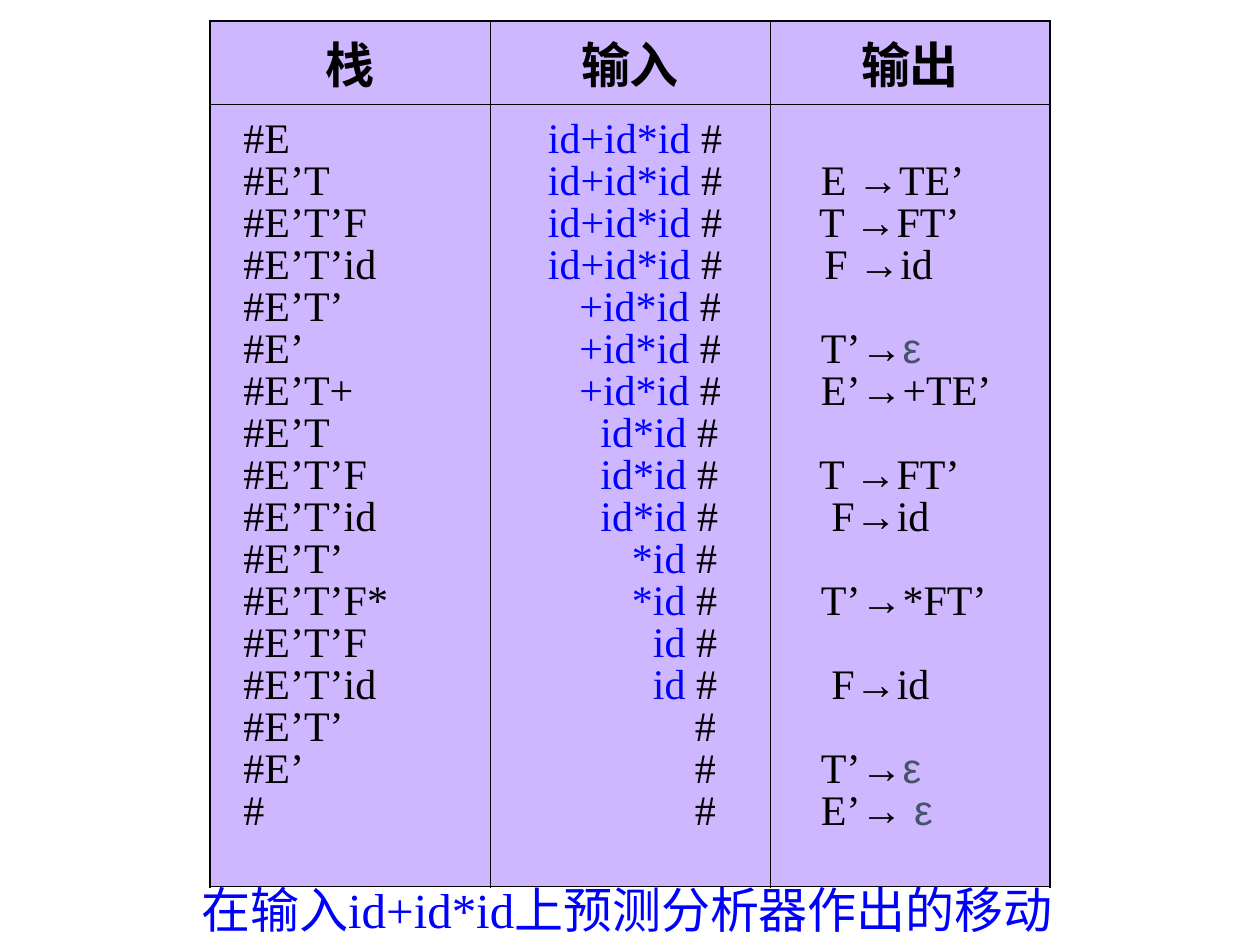
from lxml.etree import fromstring
from pptx import Presentation
from pptx.dml.color import RGBColor
from pptx.enum.text import MSO_AUTO_SIZE, PP_ALIGN
from pptx.util import Pt

BLACK, BLUE, SLATE, LILAC = "000000", "0000FF", "44546A", "CFB7FF"
SERIF, SANS = "Times New Roman", "Arial"
DRAWING_NS = "http://schemas.openxmlformats.org/drawingml/2006/main"


def color(hex_value):
    return RGBColor.from_string(hex_value)


def add_line(left, top, width, height, size, pieces, indent=0):
    """Add a text box with one paragraph; pieces are (text, font, colour)."""
    frame = slide.shapes.add_textbox(Pt(left), Pt(top), Pt(width), Pt(height)).text_frame
    frame.word_wrap = True
    frame.auto_size = MSO_AUTO_SIZE.SHAPE_TO_FIT_TEXT
    paragraph = frame.paragraphs[0]
    if indent:
        properties = paragraph._p.get_or_add_pPr()
        properties.set("marL", str(Pt(indent)))
        properties.set("indent", "0")
    for text, font, hex_value in pieces:
        run = paragraph.add_run()
        run.text = text
        run.font.name = font
        run.font.size = Pt(size)
        run.font.color.rgb = color(hex_value)


prs = Presentation()
prs.slide_width, prs.slide_height = Pt(720), Pt(540)
slide = prs.slides.add_slide(prs.slide_layouts[6])

# Table with a thick outer frame and thin inner rules
headings = ["栈", "输入", "输出"]
table = slide.shapes.add_table(2, 3, Pt(120), Pt(12), Pt(480), Pt(488)).table
table.rows[0].height, table.rows[1].height = Pt(41), Pt(447)
for r in range(2):
    for c in range(3):
        cell = table.cell(r, c)
        cell.fill.solid()
        cell.fill.fore_color.rgb = color(LILAC)
        outer_sides = {"L": c == 0, "R": c == 2, "T": r == 0, "B": r == 1}
        for position, (side, outer) in enumerate(outer_sides.items()):
            border = fromstring(
                f'<a:ln{side} xmlns:a="{DRAWING_NS}" w="{Pt(1.08 if outer else 0.45)}">'
                f'<a:solidFill><a:srgbClr val="{BLACK}"/></a:solidFill></a:ln{side}>')
            cell._tc.get_or_add_tcPr().insert(position, border)

for c, heading in enumerate(headings):
    cell = table.cell(0, c)
    cell.text_frame.text = heading
    paragraph = cell.text_frame.paragraphs[0]
    paragraph.alignment = PP_ALIGN.CENTER
    paragraph.space_before = Pt(7)
    font = paragraph.runs[0].font
    font.name, font.size, font.bold = SERIF, Pt(28), True
    font.color.rgb = color(BLACK)

add_line(108, 499, 534, 41, 28, [("在输入id+id*id上预测分析器作出的移动", SERIF, BLUE)])

# Parser moves: stack, remaining input, production (left side, arrow, right side)
moves = [
    ("#E", "id+id*id", None),
    ("#E’T", "id+id*id", ("E ", "→", "TE’")),
    ("#E’T’F", "id+id*id", ("T ", "→", "FT’")),
    ("#E’T’id", "id+id*id", ("F ", "→", "id")),
    ("#E’T’", "+id*id", None),
    ("#E’", "+id*id", ("T’", "→", "ε")),
    ("#E’T+", "+id*id", ("E’", "→", "+TE’")),
    ("#E’T", "id*id", None),
    ("#E’T’F", "id*id", ("T ", "→", "FT’")),
    ("#E’T’id", "id*id", ("F", "→", "id")),
    ("#E’T’", "*id", None),
    ("#E’T’F*", "*id", ("T’", "→", "*FT’")),
    ("#E’T’F", "id", None),
    ("#E’T’id", "id", ("F", "→", "id")),
    ("#E’T’", "", None),
    ("#E’", "", ("T’", "→", "ε")),
    ("#", "", ("E’", "→ ", "ε")),
]
input_indents = {"id+id*id": 0, "+id*id": 18, "id*id": 30, "*id": 48, "id": 60, "": 84}
output_lefts = {"T ": 461, "F ": 464, "F": 468}

for i, (stack, remaining, production) in enumerate(moves):
    top = 60 + 24 * i
    add_line(132, top, 120, 36, 24, [(stack, SERIF, BLACK)])

    end_mark = ("#", SERIF, BLACK)
    if remaining:
        input_pieces = [(remaining, SERIF, BLUE), (" #", SERIF, BLACK)]
    else:
        input_pieces = [end_mark]
    add_line(306, top, 120, 36, 24, input_pieces, input_indents[remaining])

    if production:
        symbol, arrow, body = production
        body_style = (SANS, SLATE) if body == "ε" else (SERIF, BLACK)
        add_line(output_lefts.get(symbol, 462), top, 120, 36, 24,
                 [(symbol, SERIF, BLACK), (arrow, SANS, BLACK), (body, *body_style)])

prs.save("out.pptx")
